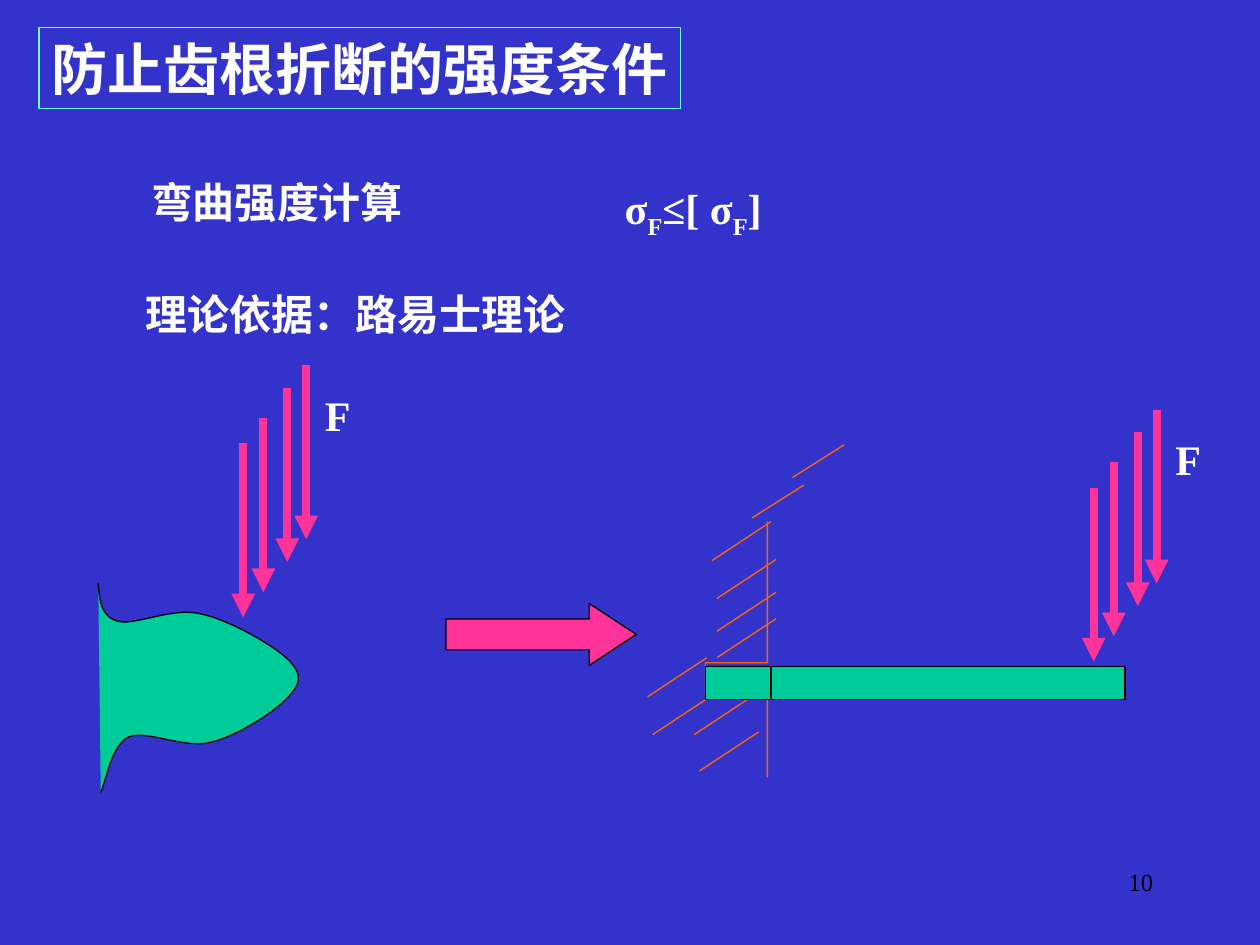
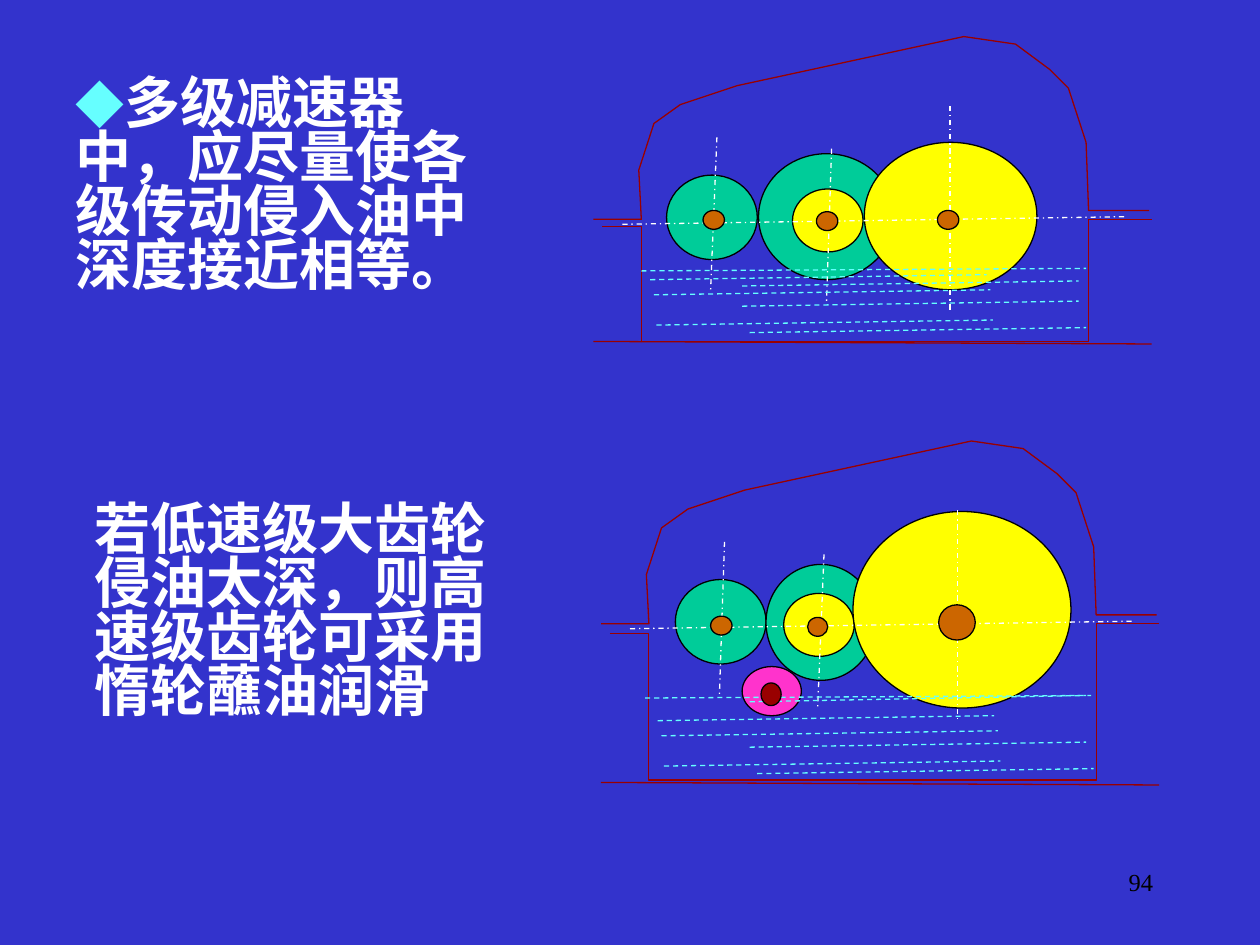
"""Build two slides on gear strength and oil-bath lubrication."""
from pptx import Presentation
from pptx.dml.color import RGBColor
from pptx.enum.dml import MSO_LINE
from pptx.enum.shapes import MSO_CONNECTOR, MSO_SHAPE
from pptx.enum.text import MSO_ANCHOR, MSO_AUTO_SIZE, PP_ALIGN
from pptx.oxml.ns import qn
from pptx.util import Inches, Pt
from lxml import etree

RECT, OVAL, ARROW = MSO_SHAPE.RECTANGLE, MSO_SHAPE.OVAL, MSO_SHAPE.RIGHT_ARROW
LINE = MSO_CONNECTOR.STRAIGHT
DASH, CHAIN = MSO_LINE.DASH, MSO_LINE.DASH_DOT
LEFT, RIGHT = PP_ALIGN.LEFT, PP_ALIGN.RIGHT
TOP, MID = MSO_ANCHOR.TOP, MSO_ANCHOR.MIDDLE
FIXED = MSO_AUTO_SIZE.NONE

BLUE, WHITE, BLACK, CYAN = "3333CC", "FFFFFF", "000000", "66FFFF"
GREEN, PINK, ORANGE, YELLOW = "00CC99", "FF3399", "FF6600", "FFFF00"
BROWN, RED, ROSE = "CC6600", "990000", "FF33CC"
hue = RGBColor.from_string


def paint(item, fill=None, line=BLACK, width=0.75, dash=None, head=False):
    """Set the fill and outline of a shape or connector, without shadow."""
    if hasattr(item, "fill"):
        item.shadow.inherit = False
        if fill:
            item.fill.solid()
            item.fill.fore_color.rgb = hue(fill)
        else:
            item.fill.background()
    item.line.color.rgb = hue(line)
    item.line.width = Pt(width)
    if dash:
        item.line.dash_style = dash
    props = item._element.spPr
    if head:
        tip = etree.SubElement(props.find(qn("a:ln")), qn("a:tailEnd"))
        tip.set("type", "triangle")
    if props.find(qn("a:effectLst")) is None:
        etree.SubElement(props, qn("a:effectLst"))


def write(item, box, runs, size=24, color=WHITE, bold=True, align=LEFT,
          anchor=TOP, wrap=False, space=1.0):
    """Place a text shape and fill it with runs of (text, changes)."""
    item.left, item.top, item.width, item.height = map(Inches, box)
    frame = item.text_frame
    look = {"word_wrap": wrap, "auto_size": FIXED, "vertical_anchor": anchor}
    for key, val in look.items():
        setattr(frame, key, val)
    para = frame.paragraphs[0]
    para.alignment, para.line_spacing = align, space
    para._p.get_or_add_pPr().set("hangingPunct", "0")
    for text, diff in runs:
        run = para.add_run()
        run.text = text
        form = {"name": "Times New Roman", "size": Pt(diff.get("size", size)), "bold": bold}
        for key, val in form.items():
            setattr(run.font, key, val)
        run.font.color.rgb = hue(diff.get("color", color))
        if "base" in diff:
            run._r.get_or_add_rPr().set("baseline", str(diff["base"] * 1000))


deck = Presentation()
deck.slide_width, deck.slide_height = Inches(10), Inches(7.5)
back = deck.slide_master.background.fill
back.solid()
back.fore_color.rgb = hue(BLUE)
tooth, oil = [deck.slides.add_slide(deck.slide_layouts[5]) for _ in range(2)]
for slide, num in ((tooth, "10"), (oil, "94")):
    page = slide.shapes.add_textbox(0, 0, 0, 0)
    write(page, (7.17, 6.83, 2.08, 0.5), [(num, {})], 14, BLACK, False, RIGHT, wrap=True)

draw = tooth.shapes
write(draw.title, (0.31, 0.22, 5.09, 0.64), [("防止齿根折断的强度条件", {})], 32)
draw.title.text_frame.margin_right = 0
paint(draw.title, line=CYAN)
sub = ("F", {"base": -25})
labels = [
    ((1.1, 1.35, 2.21, 0.5), [("弯曲强度计算", {})]),
    ((4.86, 1.4, 1.37, 0.56), [("σ", {}), sub, ("≤[ σ", {}), sub, ("]", {})]),
    ((1.06, 2.24, 3.53, 0.5), [("理论依据：路易士理论", {})]),
]
for box, runs in labels:
    write(draw.add_textbox(0, 0, 0, 0), box, runs)

curves = [
    ((0.79, 4.76), (0.8, 4.89), (0.93, 4.93)),
    ((1.07, 4.97), (1.36, 4.82), (1.58, 4.87)),
    ((1.8, 4.91), (2.15, 5.11), (2.27, 5.22)),
    ((2.39, 5.33), (2.4, 5.41), (2.3, 5.52)),
    ((2.2, 5.64), (1.89, 5.84), (1.68, 5.89)),
    ((1.47, 5.95), (1.17, 5.79), (1.02, 5.85)),
    ((0.88, 5.92), (0.84, 6.21), (0.8, 6.29)),
]
rim = [(0.78, 4.63)]
for ctrl in curves:
    knots = (rim[-1], *ctrl)
    for step in range(1, 13):
        t = step / 12
        mix = ((1 - t) ** 3, 3 * t * (1 - t) ** 2, 3 * t * t * (1 - t), t ** 3)
        rim.append(tuple(sum(m * k[axis] for m, k in zip(mix, knots)) for axis in (0, 1)))
wall = [(6.09, 4.14), (6.09, 5.26), (5.6, 5.26), (5.6, 5.55), (6.09, 5.52), (6.09, 6.17)]
for dots, fill, line in ((rim, GREEN, BLACK), (wall, None, ORANGE)):
    dots = [tuple(map(Inches, dot)) for dot in dots]
    form = draw.build_freeform(*dots[0])
    form.add_line_segments(dots[1:], close=False)
    paint(form.convert_to_shape(), fill, line)

for dx, dy in ((0, 0), (6.75, 0.35)):
    for x, y in ((1.93, 3.52), (2.09, 3.32), (2.28, 3.08), (2.43, 2.9)):
        ends = (x + dx, y + dy, x + dx, y + dy + 1.38)
        paint(draw.add_connector(LINE, *map(Inches, ends)), line=PINK, width=4.5, head=True)
    write(draw.add_textbox(0, 0, 0, 0), (2.48 + dx, 3.04 + dy, 0.4, 0.5), [("F", {})])

arrow = draw.add_shape(ARROW, *map(Inches, (3.54, 4.79, 1.51, 0.49)))
arrow.adjustments[1] = 0.76
paint(arrow, PINK)
paint(draw.add_shape(RECT, *map(Inches, (6.12, 5.29, 2.81, 0.26))), GREEN)
long = [(6.12, 4.14), (6.16, 4.44), (6.16, 4.7), (6.16, 4.91),
        (5.61, 5.22), (5.65, 5.52), (5.98, 5.52), (6.02, 5.81)]
short = [(6.38, 3.85), (6.7, 3.53)]
for starts, run, drop in ((long, 0.47, 0.31), (short, 0.41, 0.26)):
    for x, y in starts:
        ends = (x, y, x - run, y + drop)
        paint(draw.add_connector(LINE, *map(Inches, ends)), line=ORANGE)
paint(draw.add_shape(RECT, *map(Inches, (5.6, 5.29, 0.52, 0.26))), GREEN)

draw = oil.shapes
roof = [(4.71, 1.74), (5.09, 1.74), (5.07, 1.35), (5.19, 0.98), (5.4, 0.83),
        (5.85, 0.68), (7.65, 0.29), (8.06, 0.35), (8.33, 0.55), (8.48, 0.7),
        (8.62, 1.13), (8.64, 1.67), (9.12, 1.67)]
waves = [(5.16, 2.22), (5.19, 2.34), (5.89, 2.43), (5.21, 2.58), (5.95, 2.64)]
cases = [
    {
        "dx": 0, "dy": 0, "sink": 0, "lip": 1.8, "floor": 2.71, "ground": 2.71,
        "wheels": [(5.29, 1.39, 0.72, 0.67, GREEN), (6.02, 1.22, 1.08, 1, GREEN),
                   (6.29, 1.5, 0.56, 0.5, YELLOW), (6.86, 1.13, 1.37, 1.17, YELLOW)],
        "axes": [(4.94, 1.78, 8.93, 1.72), (5.69, 1.09, 5.64, 2.3),
                 (6.6, 1.18, 6.56, 2.4), (7.54, 0.84, 7.54, 2.48)],
        "hubs": [(5.58, 1.67, 0.17, 0.15, BROWN), (6.48, 1.68, 0.17, 0.15, BROWN),
                 (7.44, 1.67, 0.17, 0.15, BROWN)],
        "level": [(5.09, 2.15, 8.62, 2.13), (5.89, 2.27, 8.56, 2.23)],
        "pins": [],
    },
    {
        "dx": 0.06, "dy": 3.21, "sink": 3.5, "lip": 5.03, "floor": 6.19, "ground": 6.21,
        "wheels": [(5.89, 5.29, 0.47, 0.39, ROSE), (5.36, 4.6, 0.72, 0.67, GREEN),
                   (6.08, 4.48, 0.87, 0.92, GREEN), (6.22, 4.71, 0.56, 0.5, YELLOW),
                   (6.77, 4.06, 1.73, 1.56, YELLOW)],
        "axes": [(5, 4.99, 9, 4.93), (5.75, 4.3, 5.71, 5.51),
                 (6.54, 4.4, 6.49, 5.61), (7.6, 4.05, 7.6, 5.7)],
        "hubs": [(5.64, 4.89, 0.17, 0.15, BROWN), (6.41, 4.9, 0.16, 0.15, BROWN),
                 (7.45, 4.8, 0.29, 0.28, BROWN)],
        "level": [(5.12, 5.54, 8.66, 5.52), (5.95, 5.57, 8.62, 5.52)],
        "pins": [(6.04, 5.42, 0.16, 0.18, RED)],
    },
]
for case in cases:
    dx, dy, floor, ground = (case[key] for key in ("dx", "dy", "floor", "ground"))
    cover = [(x + dx, y + dy) for x, y in roof]
    tank = [(4.78 + dx, case["lip"]), (5.09 + dx, case["lip"]), (5.09 + dx, floor),
            (8.64 + dx, floor), (8.64 + dx, 1.74 + dy), (9.14 + dx, 1.74 + dy)]
    for dots in (cover, tank):
        dots = [tuple(map(Inches, dot)) for dot in dots]
        form = draw.build_freeform(*dots[0])
        form.add_line_segments(dots[1:], close=False)
        paint(form.convert_to_shape(), line=RED)
    base = [(4.71 + dx, ground, 9.14 + dx, ground + 0.02)]
    sink = case["sink"]
    ripple = [(x + dx, y + sink, x + dx + 2.67, y + sink - 0.04) for x, y in waves]
    layers = [
        (base, RED, None), (case["wheels"], None, None), (case["axes"], WHITE, CHAIN),
        (case["hubs"], None, None), (case["level"] + ripple, CYAN, DASH),
        (case["pins"], None, None),
    ]
    for parts, line, dash in layers:
        for part in parts:
            if line:
                paint(draw.add_connector(LINE, *map(Inches, part)), line=line, dash=dash)
            else:
                paint(draw.add_shape(OVAL, *map(Inches, part[:4])), part[4])

mark = ("◆", {"size": 28, "color": CYAN})
lead = [mark, ("多级减速器中，应尽量使各级传动侵入油中深度接近相等。", {})]
hint = [("若低速级大齿轮侵油太深，则高速级齿轮可采用惰轮蘸油润滑", {})]
notes = [
    (draw.title, (0.5, 0.59, 3.53, 1.81), lead),
    (draw.add_textbox(0, 0, 0, 0), (0.65, 3.97, 3.67, 1.81), hint),
]
for item, box, runs in notes:
    write(item, box, runs, 32, anchor=MID, wrap=True, space=0.8)

deck.save("out.pptx")
